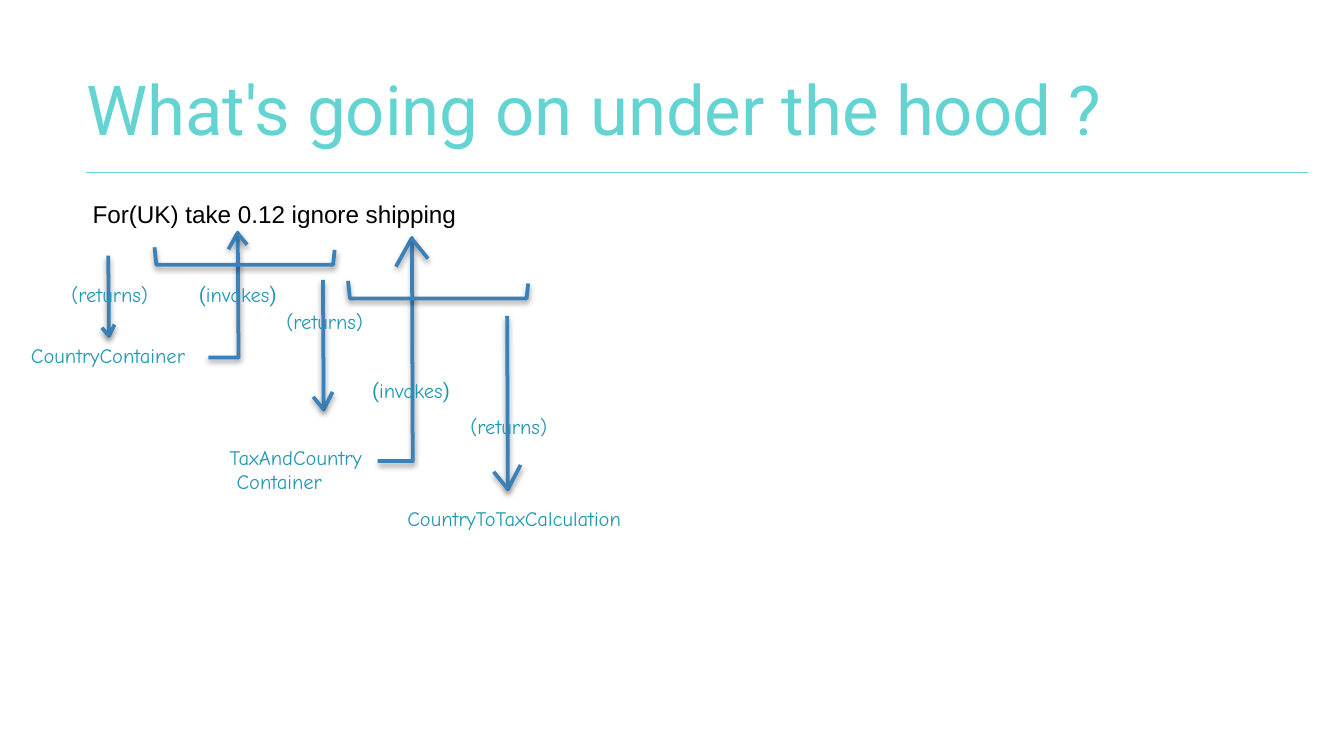
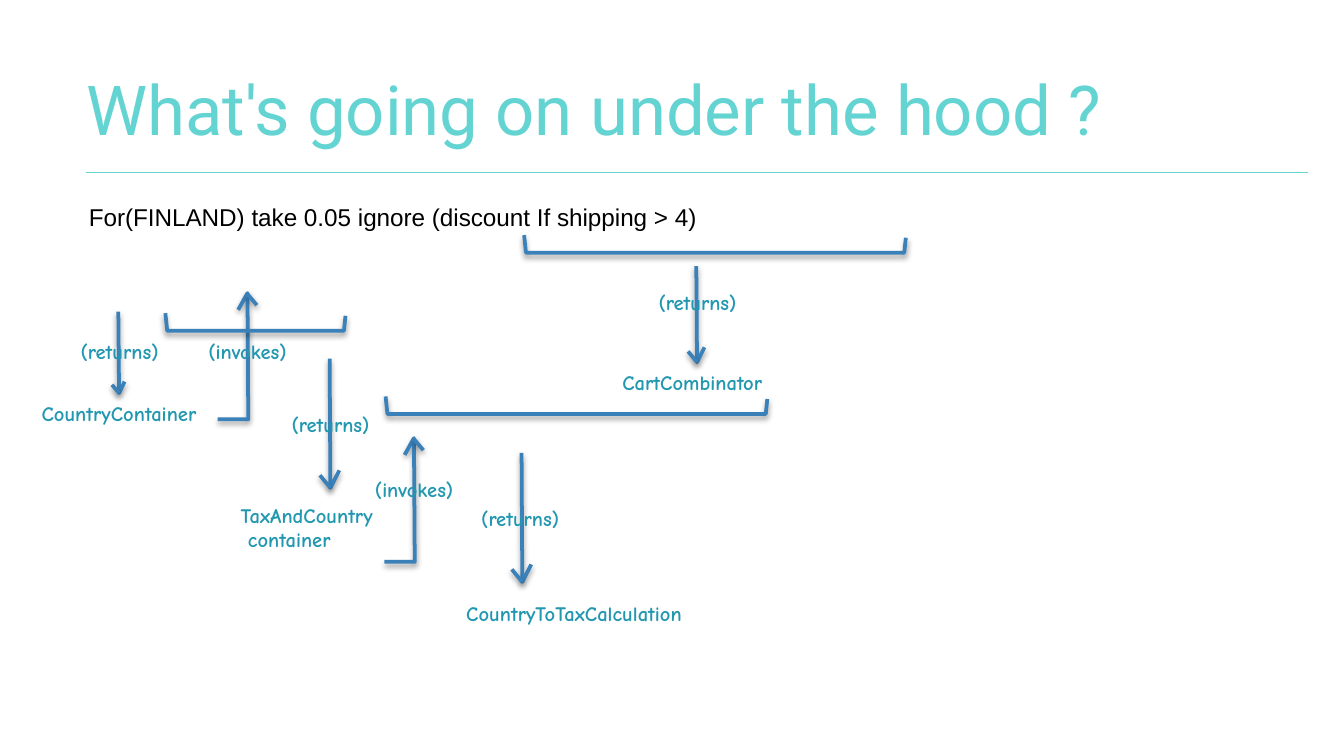
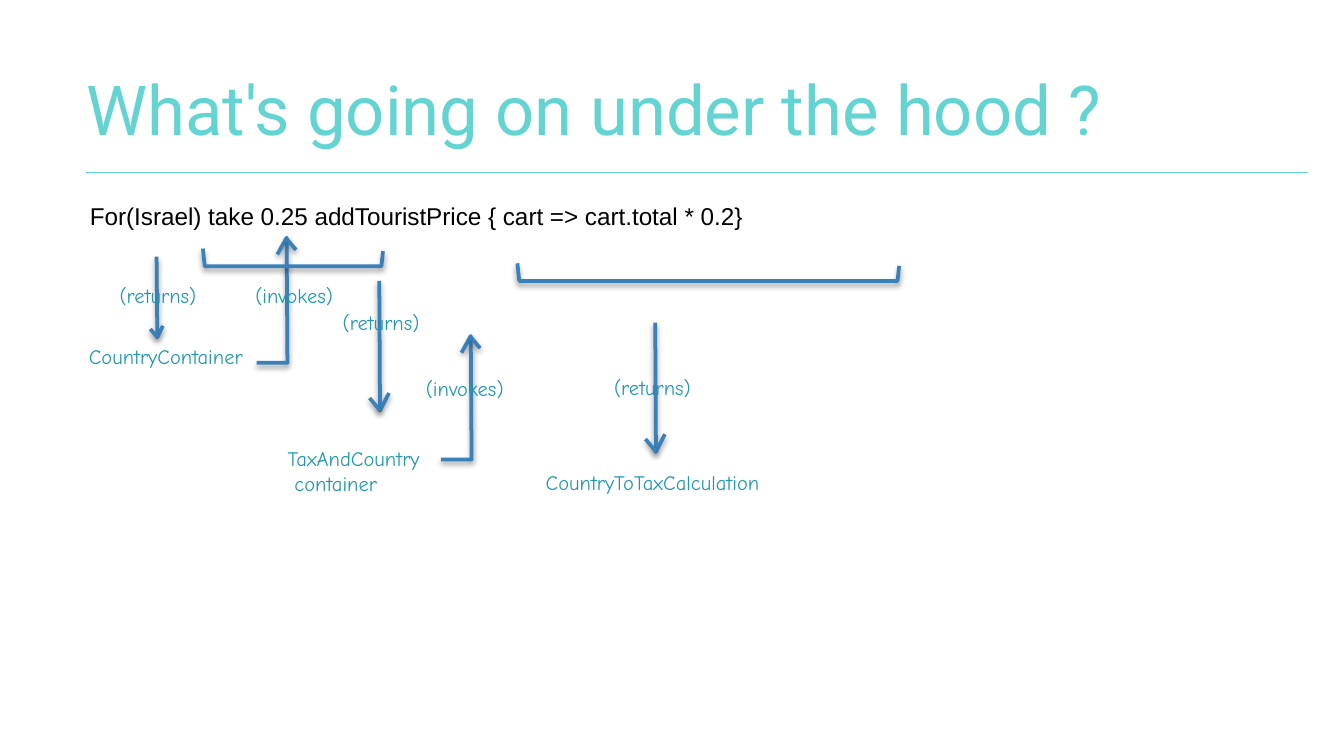
"""Builds three slides that trace how DSL expressions are evaluated."""
from pptx import Presentation
from pptx.dml.color import RGBColor
from pptx.enum.shapes import MSO_CONNECTOR as Connector
from pptx.enum.text import MSO_ANCHOR as Anchor, MSO_AUTO_SIZE as AutoSize
from pptx.oxml import parse_xml
from pptx.oxml.ns import nsdecls
from pptx.util import Pt

COLORS = {"title": "64D4D2", "code": "000000", "label": "2297B0", "stroke": "3A81BA", "shadow": "000000"}
TITLE = "What's going on under the hood ?"
TITLE_FONT, CODE_FONT, LABEL_FONT = "Roboto", "Arial", "Comic Neue"
SHADOW = (
    f'<a:effectLst {nsdecls("a")}><a:outerShdw blurRad="{Pt(3)}" dist="{Pt(1.6)}" dir="5400000" '
    f'rotWithShape="0"><a:srgbClr val="{COLORS["shadow"]}"><a:alpha val="38000"/></a:srgbClr>'
    "</a:outerShdw></a:effectLst>"
)
NO_EFFECT = f'<a:effectLst {nsdecls("a")}/>'

SLIDES = [
    {
        "code": ("For(UK) take 0.12 ignore shipping", 46, 103, 265, 25, False),
        "bold": None,
        "returns_arrows": [(58, 137, 180, 3.4), (173, 150, 219.4, 5.2), (271.7, 169.2, 262.1, 7.2)],
        "invokes_arrows": [(111.6, 191.5, 127.4, 124.6, 5), (202.3, 247, 220.7, 127.4, 8.6)],
        "brackets": [(82.8, 132.5, 96.5), (186.5, 150.5, 96.5)],
        "labels": [
            ("CountryContainer", 13, 180, 97),
            ("(returns)", 34.6, 147.6, 54.7),
            ("(|invokes|)", 103, 147.6, 50.4),
            ("(returns)", 149.8, 162, 54.7),
            ("TaxAndCountry\v Container", 119.5, 234.7, 88),
            ("(|invokes|)", 195.8, 198.7, 50.4),
            ("(returns)", 248.4, 218.2, 54.7),
            ("CountryToTaxCalculation", 214.6, 267.8, 137),
        ],
    },
    {
        "code": ("For(FINLAND) take 0.05 ignore (discount If shipping > 4)", 44, 105, 490, 23, True),
        "bold": True,
        "returns_arrows": [
            (279.4, 242.6, 311.8, 5.2), (373, 142.6, 194, 4.4),
            (63.4, 167, 210.6, 3.4), (176.6, 192.2, 261.4, 5.2),
        ],
        "invokes_arrows": [(206, 301, 221.8, 234.7, 5), (116.6, 224.6, 132.6, 157, 5)],
        "brackets": [(206.6, 212.4, 204.5), (280.8, 126, 204.5), (88.6, 167.8, 96.5)],
        "labels": [
            ("(invokes)", 197.3, 252, 53.3),
            ("(returns)", 254.2, 267.8, 54.7),
            ("CountryToTaxCalculation", 246.2, 318.2, 139),
            ("CartCombinator", 329.8, 194.4, 90),
            ("(returns)", 349.2, 151.9, 54.7),
            ("CountryContainer", 18.7, 211, 98.6),
            ("(invokes)", 108, 177.8, 53.3),
            ("(returns)", 39.6, 177.8, 54.7),
            ("TaxAndCountry\v container", 125.3, 265.7, 89.3),
            ("(returns)", 152.6, 217.4, 54.7),
        ],
    },
    {
        "code": ("For(Israel) take 0.25 addTouristPrice { cart => cart.total * 0.2}", 44.6, 104.4, 530.6, 25, True),
        "bold": None,
        "returns_arrows": [(83.9, 137.5, 180.7, 3.4), (203.2, 150.5, 220, 5.2), (351, 172.8, 242, 5.2)],
        "invokes_arrows": [(137.5, 194.4, 153.6, 127.4, 5), (236.2, 246.2, 252.2, 180, 5)],
        "brackets": [(108.7, 133.2, 96.5), (277.2, 141.1, 204.5)],
        "labels": [
            ("CountryContainer", 44, 180.7, 97),
            ("(invokes)", 133.2, 148.3, 53.3),
            ("(returns)", 60.5, 148.3, 54.7),
            ("(returns)", 180, 162.7, 54.7),
            ("TaxAndCountry\v container", 150.5, 235.4, 88),
            ("(invokes)", 224.6, 198, 53.3),
            ("(returns)", 325.4, 197.3, 54.7),
            ("CountryToTaxCalculation", 288.7, 248.4, 137),
        ],
    },
]


def add_text(slide, text, box, font, size, color, inset=3.6, wrap=False, bold=None):
    """Adds a text box; bars separate runs, and lone parentheses use the title font."""
    shape = slide.shapes.add_textbox(*map(Pt, box))
    frame = shape.text_frame
    frame.margin_left = frame.margin_right = frame.margin_top = frame.margin_bottom = Pt(inset)
    frame.word_wrap = wrap
    frame.auto_size = AutoSize.SHAPE_TO_FIT_TEXT
    paragraph = frame.paragraphs[0]
    first, *rest = text.split("|")
    paragraph.text = first
    for part in rest:
        paragraph.add_run().text = part
    for run in paragraph.runs:
        run.font.name = TITLE_FONT if run.text in "()" else font
        run.font.size = Pt(size)
        run.font.bold = bold
        run.font.color.rgb = RGBColor.from_string(COLORS[color])
    return frame


def add_stroke(slide, points, color="stroke", width=2, effect=SHADOW):
    """Draws a connector through two points or an open outline through more."""
    (x, y), *others = [(Pt(left), Pt(top)) for left, top in points]
    if len(others) == 1:
        shape = slide.shapes.add_connector(Connector.STRAIGHT, x, y, *others[0])
    else:
        builder = slide.shapes.build_freeform(x, y)
        builder.add_line_segments(others, close=False)
        shape = builder.convert_to_shape()
        shape.fill.background()
    shape.line.color.rgb = RGBColor.from_string(COLORS[color])
    shape.line.width = Pt(width)
    shape._element.spPr.append(parse_xml(effect))


presentation = Presentation()
presentation.slide_width, presentation.slide_height = Pt(720), Pt(405)

for content in SLIDES:
    slide = presentation.slides.add_slide(presentation.slide_layouts[6])
    add_stroke(slide, [(46, 92.4), (700.6, 92.4)], "title", 0.75, NO_EFFECT)
    title = add_text(slide, TITLE, (39, 26, 616, 61), TITLE_FONT, 36.9, "title", 7.2, True)
    title.auto_size = AutoSize.NONE
    title.vertical_anchor = Anchor.BOTTOM
    code, left, top, width, height, wrap = content["code"]
    add_text(slide, code, (left, top, width, height), CODE_FONT, 13, "code", wrap=wrap)

    for x, top, tip, barb in content["returns_arrows"]:
        add_stroke(slide, [(x, top), (x + 0.4, tip), (x + barb, tip - 1.8 * barb)])
        add_stroke(slide, [(x + 0.4, tip), (x - barb, tip - 1.3 * barb)])
    for start, base, x, tip, barb in content["invokes_arrows"]:
        add_stroke(slide, [(start, base), (x + 0.4, base), (x, tip), (x - barb, tip + 1.8 * barb)])
        add_stroke(slide, [(x, tip + 0.6), (x + barb, tip + 1.3 * barb)])
    for x, top, width in content["brackets"]:
        right, bottom = x + width, top + 9.4
        add_stroke(slide, [(x, top), (x + 1, bottom), (right - 0.8, bottom), (right, top + 1.4)])

    for text, left, top, width in content["labels"]:
        height = 34 if "\v" in text else 21
        add_text(slide, text, (left, top, width, height), LABEL_FONT, 11, "label", bold=content["bold"])

presentation.save("out.pptx")
